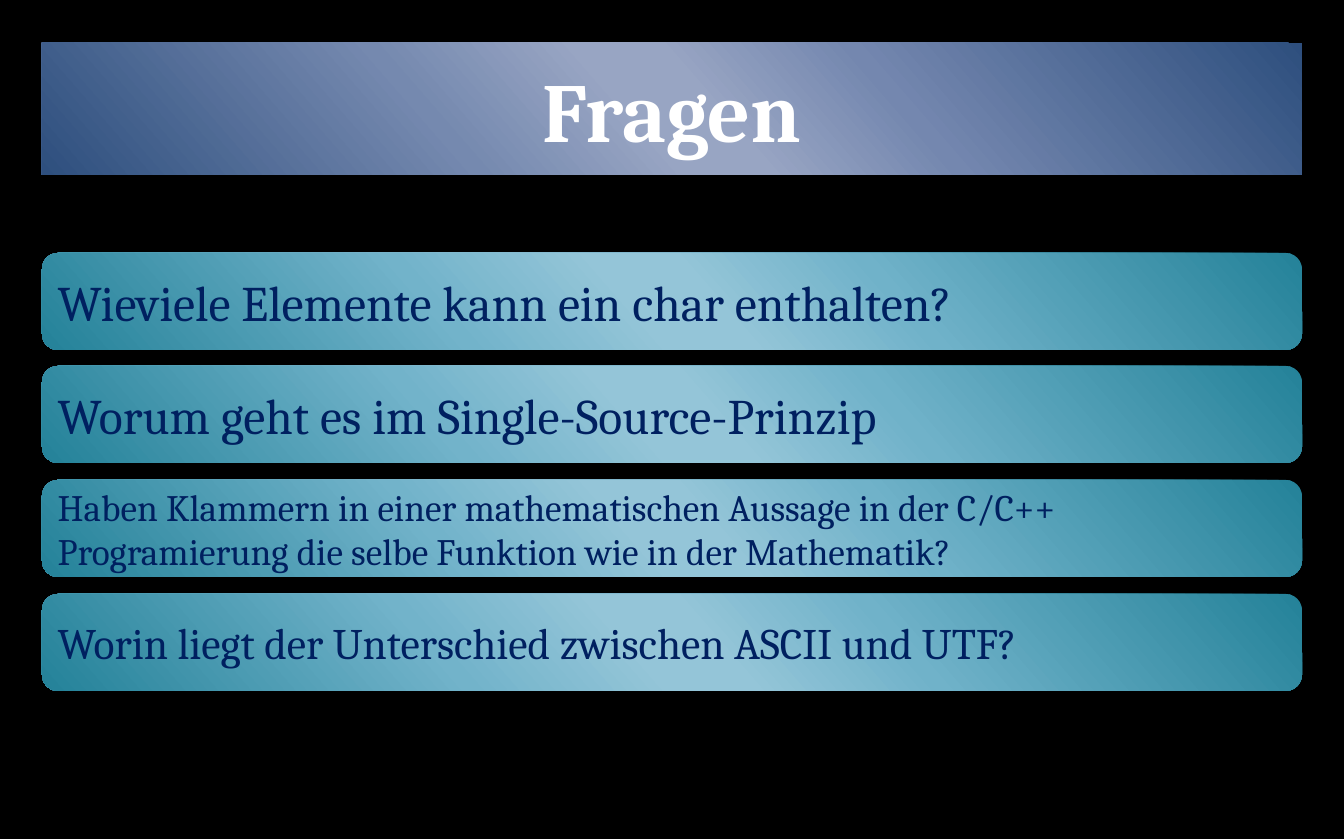
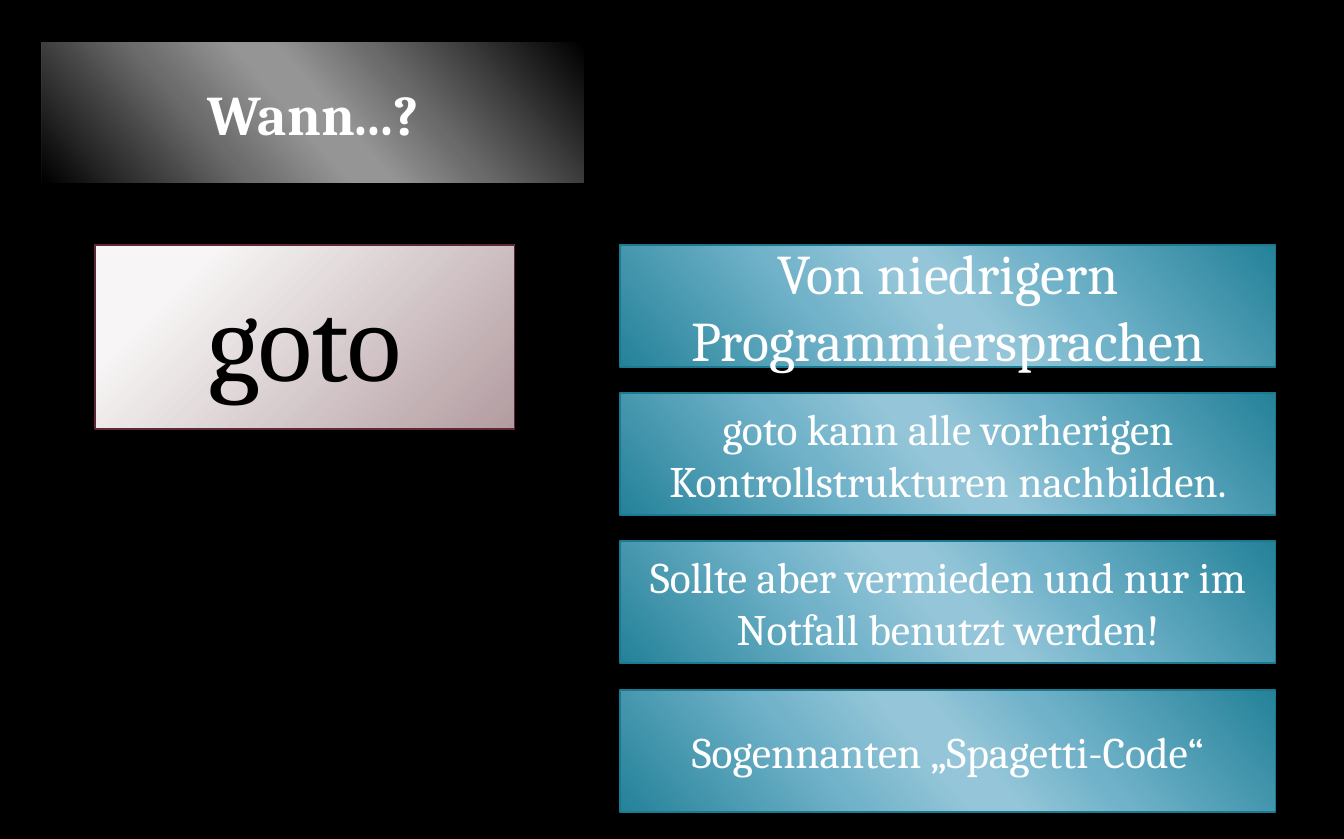
"""Build two slides of a programming course: review questions and the goto statement."""
from dataclasses import dataclass

from lxml import etree
from pptx import Presentation
from pptx.dml.color import RGBColor
from pptx.enum.shapes import MSO_SHAPE as Preset
from pptx.enum.text import MSO_ANCHOR as Anchor, MSO_AUTO_SIZE as AutoSize, PP_ALIGN as Align
from pptx.oxml.ns import qn
from pptx.util import Emu, Pt

PIXEL = 914400 / 111.9
TITLE_ONLY = 5


def sheen(edge, left, middle, right):
    """Return gradient stops that brighten towards the middle."""
    return [(0, edge), (33, left), (47, middle), (53, middle), (68, right), (100, edge)]


@dataclass(frozen=True)
class Theme:
    """Colours, gradients and type sizes of the deck."""
    font: str = "Cambria"
    background: str = "000000"
    light: str = "FFFFFF"
    dark: str = "000000"
    navy: str = "002060"
    teal_line: str = "1B7990"
    wine_line: str = "5D2934"
    blue: tuple = tuple(sheen("2E4F7E", "7487AF", "98A5C3", "7589AF"))
    grey: tuple = tuple(sheen("000000", "6B6B6B", "959595", "6C6C6C"))
    teal: tuple = tuple(sheen("248299", "70B2C9", "94C5D8", "72B3CA"))
    rose: tuple = ((20, "F7F5F5"), (100, "B29CA0"))
    angle: int = 139
    line_width: float = 0.75
    keyword: int = 72
    headline: int = 54
    large: int = 36
    question: int = 32
    body: int = 28
    small: int = 24


THEME = Theme()


def px(value):
    """Turn pixels into EMU."""
    return Emu(round(value * PIXEL))


def spread(first, last, count):
    """Return evenly spaced whole pixel positions."""
    return [first + (last - first) * index // (count - 1) for index in range(count)]


def paint(shape, stops, from_corner=False):
    """Fill a shape with a slanted gradient or one from the top left corner."""
    shape.fill.gradient()
    gradient = shape._element.spPr.find(qn("a:gradFill"))
    for child in list(gradient):
        gradient.remove(child)
    stop_list = etree.SubElement(gradient, qn("a:gsLst"))
    for position, colour in stops:
        stop = etree.SubElement(stop_list, qn("a:gs"), pos=str(position * 1000))
        etree.SubElement(stop, qn("a:srgbClr"), val=colour)
    if from_corner:
        circle = etree.SubElement(gradient, qn("a:path"), **{"path": "circle"})
        etree.SubElement(circle, qn("a:fillToRect"), l="-15000", t="-15000", r="115000", b="115000")
    else:
        etree.SubElement(gradient, qn("a:lin"), ang=str(THEME.angle * 60000), scaled="0")


def outline(shape, colour=None):
    """Draw a thin line around a shape, or none."""
    if colour:
        shape.line.color.rgb = RGBColor.from_string(colour)
        shape.line.width = Pt(THEME.line_width)
    else:
        shape.line.fill.background()
    shape.shadow.inherit = False


def write(shape, text, size, colour, align=Align.CENTER, bold=False):
    """Write one paragraph, vertically centred in the shape."""
    frame = shape.text_frame
    frame.word_wrap = True
    frame.auto_size = AutoSize.NONE
    frame.vertical_anchor = Anchor.MIDDLE
    para = frame.paragraphs[0]
    para.alignment = align
    span = para.add_run()
    span.text = text
    span.font.name = THEME.font
    span.font.size = Pt(size)
    span.font.bold = bold
    span.font.color.rgb = RGBColor.from_string(colour)


def add_page(deck, title, width, height, stops, size):
    """Add a slide whose title sits on a rounded gradient band."""
    page = deck.slides.add_slide(deck.slide_layouts[TITLE_ONLY])
    band = page.shapes.title
    band.left, band.top, band.width, band.height = map(px, (42, 43, width, height))
    geometry = etree.SubElement(band._element.spPr, qn("a:prstGeom"), prst="roundRect")
    etree.SubElement(geometry, qn("a:avLst"))
    paint(band, stops)
    outline(band)
    write(band, title, size, THEME.light, bold=True)
    return page


def add_box(page, preset, bounds, stops, line=None, from_corner=False):
    """Add a gradient box and return it for its text."""
    box = page.shapes.add_shape(preset, *map(px, bounds))
    paint(box, stops, from_corner)
    outline(box, line)
    return box


def add_questions(deck):
    """Build the slide with the review questions."""
    page = add_page(deck, "Fragen", 1260, 132, THEME.blue, THEME.headline)
    questions = [
        ("Wieviele Elemente kann ein char enthalten?", THEME.question),
        ("Worum geht es im Single-Source-Prinzip", THEME.question),
        ("Haben Klammern in einer mathematischen Aussage in der C/C++ "
         "Programierung die selbe Funktion wie in der Mathematik?", THEME.small),
        ("Worin liegt der Unterschied zwischen ASCII und UTF?", THEME.body),
    ]
    for top, (text, size) in zip(spread(253, 594, len(questions)), questions):
        bar = add_box(page, Preset.ROUNDED_RECTANGLE, (42, top, 1260, 97), THEME.teal)
        write(bar, text, size, THEME.navy, Align.LEFT)


def add_goto(deck):
    """Build the slide on when to use goto."""
    page = add_page(deck, "Wann...?", 542, 140, THEME.grey, THEME.large)
    keyword = add_box(page, Preset.RECTANGLE, (95, 245, 420, 184), THEME.rose,
                      THEME.wine_line, from_corner=True)
    write(keyword, "goto", THEME.keyword, THEME.dark)
    answers = [
        ("Von niedrigern Programmiersprachen", THEME.large),
        ("goto kann alle vorherigen Kontrollstrukturen nachbilden.", THEME.body),
        ("Sollte aber vermieden und nur im Notfall benutzt werden!", THEME.body),
        ("Sogennanten „Spagetti-Code“", THEME.body),
    ]
    for top, (text, size) in zip(spread(245, 690, len(answers)), answers):
        box = add_box(page, Preset.RECTANGLE, (620, top, 656, 122), THEME.teal, THEME.teal_line)
        write(box, text, size, THEME.light)


def main():
    """Build and save the deck."""
    deck = Presentation()
    deck.slide_width, deck.slide_height = px(1344), px(839)
    backdrop = deck.slide_master.background.fill
    backdrop.solid()
    backdrop.fore_color.rgb = RGBColor.from_string(THEME.background)
    add_questions(deck)
    add_goto(deck)
    deck.save("out.pptx")


main()
